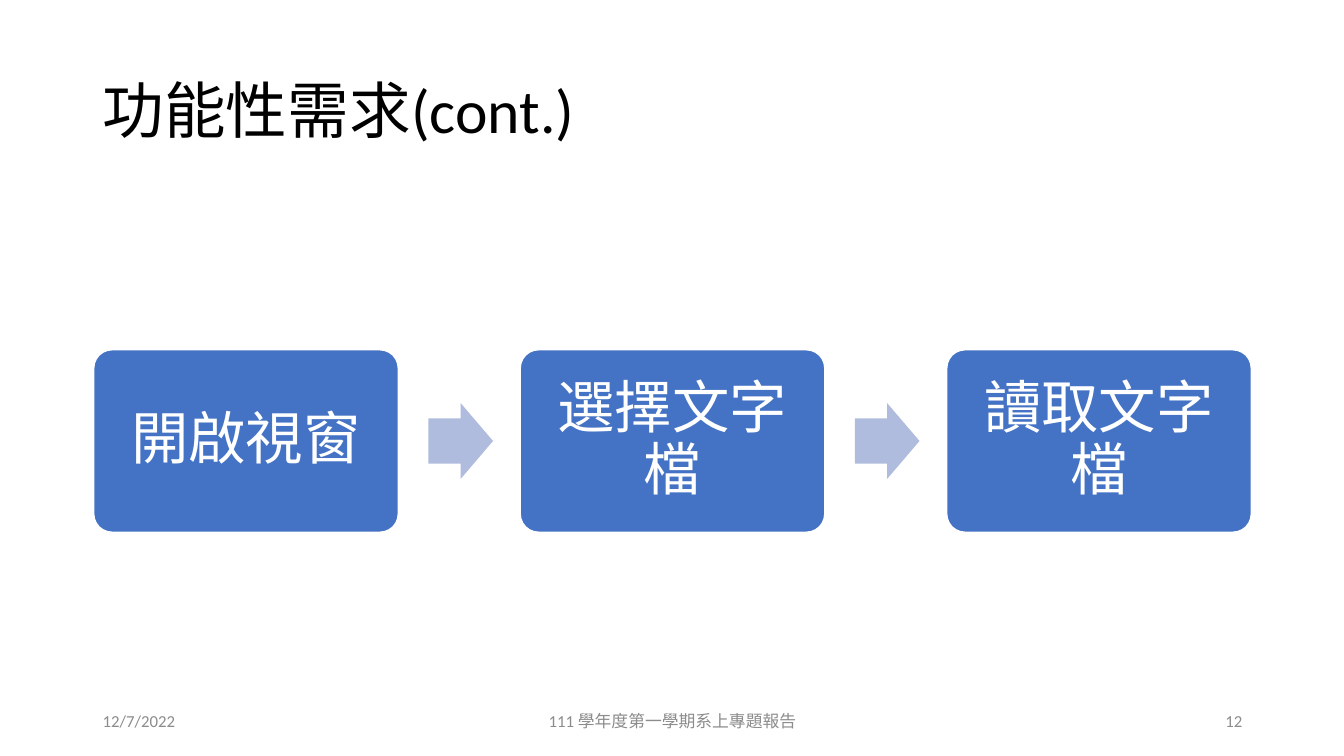
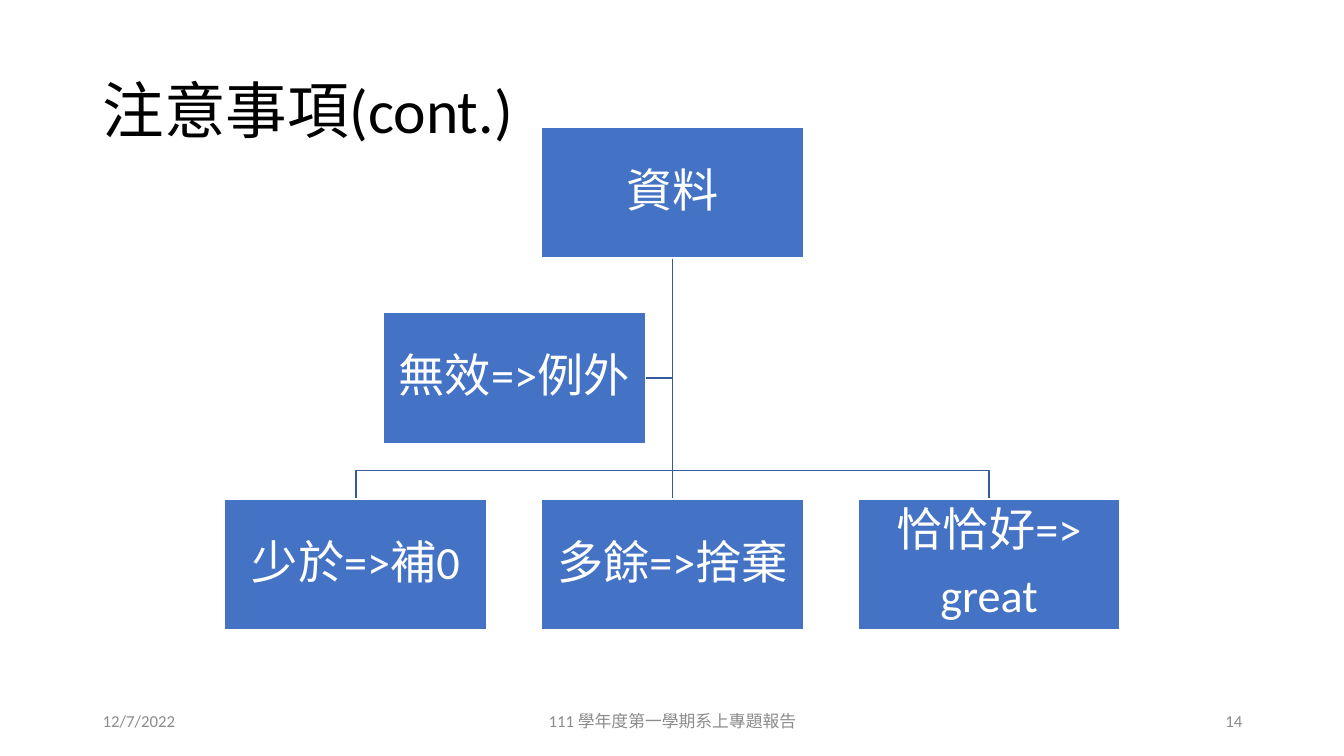
from pptx import Presentation
from pptx.dml.color import RGBColor
from pptx.enum.shapes import MSO_CONNECTOR, MSO_SHAPE
from pptx.enum.text import MSO_ANCHOR, PP_ALIGN
from pptx.util import Inches, Pt
from lxml import etree

FONT = "Calibri"
BLUE, PALE_BLUE, DARK_BLUE = "4472C4", "B0BCDE", "365B9D"
BLACK, WHITE, GRAY = "000000", "FFFFFF", "8C8C8C"

DATE = "12/7/2022"
FOOTER = "111 學年度第一學期系上專題報告"

PROCESS = {
    "title": "功能性需求(cont.)",
    "number": "12",
    "steps": ["開啟視窗", "選擇文字檔", "讀取文字檔"],
}
HIERARCHY = {
    "title": "注意事項(cont.)",
    "number": "14",
    "root": ["資料"],
    "assistant": ["無效=>例外"],
    "children": [["少於=>補0"], ["多餘=>捨棄"], ["恰恰好=>", "great"]],
}

# Process row: left, top, box size, distance between boxes, arrow size
STEP_LEFT, STEP_TOP, STEP_W, STEP_H, STEP_PITCH = 0.93, 3.47, 3.02, 1.81, 4.23
ARROW_W, ARROW_H, ARROW_GAP = 0.64, 0.75, 0.3

# Hierarchy: box size, centre line, column distance, row tops
NODE_W, NODE_H, CENTER, NODE_PITCH = 2.6, 1.3, 6.67, 3.14
ROOT_TOP, ASSISTANT_TOP, CHILD_TOP = 1.26, 3.1, 4.95
BRANCH_Y = 4.67


def color(hex_code):
    """Turn a hex string into a colour."""
    return RGBColor.from_string(hex_code)


def write(shape, lines, size, ink, align, inset=None, spacing=None, after=0):
    """Fill a shape with middle-anchored paragraphs."""
    frame = shape.text_frame
    frame.word_wrap = True
    frame.vertical_anchor = MSO_ANCHOR.MIDDLE
    if inset is not None:
        frame.margin_left = frame.margin_right = Inches(inset)
        frame.margin_top = frame.margin_bottom = Inches(inset)
    for i, line in enumerate(lines):
        paragraph = frame.add_paragraph() if i else frame.paragraphs[0]
        paragraph.alignment = align
        paragraph.line_spacing = spacing
        paragraph.space_after = Pt(after)
        run = paragraph.add_run()
        run.text = line
        run.font.name = FONT
        run.font.size = Pt(size)
        run.font.color.rgb = color(ink)


def add_text(slide, box, text, size, ink, align=PP_ALIGN.LEFT, spacing=None):
    """Place a one-paragraph text box."""
    shape = slide.shapes.add_textbox(*map(Inches, box))
    write(shape, [text], size, ink, align, spacing=spacing)


def add_block(slide, kind, box, fill, line=None, adjustments=()):
    """Place a flat preset shape."""
    shape = slide.shapes.add_shape(kind, *map(Inches, box))
    shape.shadow.inherit = False
    shape.fill.solid()
    shape.fill.fore_color.rgb = color(fill)
    if line:
        shape.line.color.rgb = color(line)
        shape.line.width = Pt(1)
    else:
        shape.line.fill.background()
    for i, value in enumerate(adjustments):
        shape.adjustments[i] = value
    return shape


def add_label(shape, lines, size, inset):
    """Write centred white text in a diagram box."""
    write(shape, lines, size, WHITE, PP_ALIGN.CENTER, inset, 0.9, round(size * 0.35))


def add_node(slide, center, top, lines):
    """Place a hierarchy box around a centre line."""
    box = (center - NODE_W / 2, top, NODE_W, NODE_H)
    add_label(add_block(slide, MSO_SHAPE.RECTANGLE, box, BLUE, WHITE), lines, 33, 0.02)


def style_link(link):
    """Give a hierarchy line its stroke."""
    link.line.color.rgb = color(DARK_BLUE)
    link.line.width = Pt(1)


def add_elbow(slide, points):
    """Draw an open bent line through the points."""
    start, *rest = [(Inches(x), Inches(y)) for x, y in points]
    builder = slide.shapes.build_freeform(*start)
    builder.add_line_segments(rest, close=False)
    elbow = builder.convert_to_shape()
    elbow.shadow.inherit = False
    elbow.fill.background()
    style_link(elbow)


def add_trunk(slide, x, top, bottom):
    """Draw a straight vertical line."""
    ends = map(Inches, (x, top, x, bottom))
    trunk = slide.shapes.add_connector(MSO_CONNECTOR.STRAIGHT, *ends)
    style_link(trunk)
    properties = trunk.element.spPr
    namespace = properties.nsmap["a"]
    etree.SubElement(properties, f"{{{namespace}}}effectLst")


def add_slide(deck, content):
    """Start a slide with its title and footer row."""
    slide = deck.slides.add_slide(deck.slide_layouts[6])
    add_text(slide, (0.92, 0.4, 11.5, 1.45), content["title"], 44, BLACK, spacing=0.9)
    for left, width, text, align in (
        (0.92, 3, DATE, PP_ALIGN.LEFT),
        (4.42, 4.5, FOOTER, PP_ALIGN.CENTER),
        (9.42, 3, content["number"], PP_ALIGN.RIGHT),
    ):
        add_text(slide, (left, 6.95, width, 0.4), text, 12, GRAY, align)
    return slide


def build_process(deck, content):
    """Build the row of steps joined by arrows."""
    slide = add_slide(deck, content)
    arrow_top = STEP_TOP + (STEP_H - ARROW_H) / 2
    for i, step in enumerate(content["steps"]):
        left = STEP_LEFT + i * STEP_PITCH
        if i:
            arrow_left = left - STEP_PITCH + STEP_W + ARROW_GAP
            add_block(slide, MSO_SHAPE.RIGHT_ARROW,
                      (arrow_left, arrow_top, ARROW_W, ARROW_H),
                      PALE_BLUE, adjustments=(0.6, 0.5))
        block = add_block(slide, MSO_SHAPE.ROUNDED_RECTANGLE,
                          (left, STEP_TOP, STEP_W, STEP_H), BLUE, WHITE, (0.1,))
        add_label(block, [step], 41, 0.17)


def build_hierarchy(deck, content):
    """Build the root, its assistant and its children."""
    slide = add_slide(deck, content)
    root_bottom = ROOT_TOP + NODE_H
    assistant_center = CENTER - NODE_PITCH / 2
    assistant_y = ASSISTANT_TOP + NODE_H / 2
    columns = [CENTER + (i - 1) * NODE_PITCH for i in range(len(content["children"]))]

    add_elbow(slide, [(CENTER, root_bottom), (CENTER, assistant_y),
                      (assistant_center + NODE_W / 2, assistant_y)])
    for x in columns:
        if x == CENTER:
            add_trunk(slide, x, root_bottom, CHILD_TOP)
        else:
            add_elbow(slide, [(CENTER, root_bottom), (CENTER, BRANCH_Y),
                              (x, BRANCH_Y), (x, CHILD_TOP)])

    add_node(slide, CENTER, ROOT_TOP, content["root"])
    for x, lines in zip(columns, content["children"]):
        add_node(slide, x, CHILD_TOP, lines)
    add_node(slide, assistant_center, ASSISTANT_TOP, content["assistant"])


deck = Presentation()
deck.slide_width, deck.slide_height = Inches(13.33), Inches(7.5)
build_process(deck, PROCESS)
build_hierarchy(deck, HIERARCHY)
deck.save("out.pptx")
